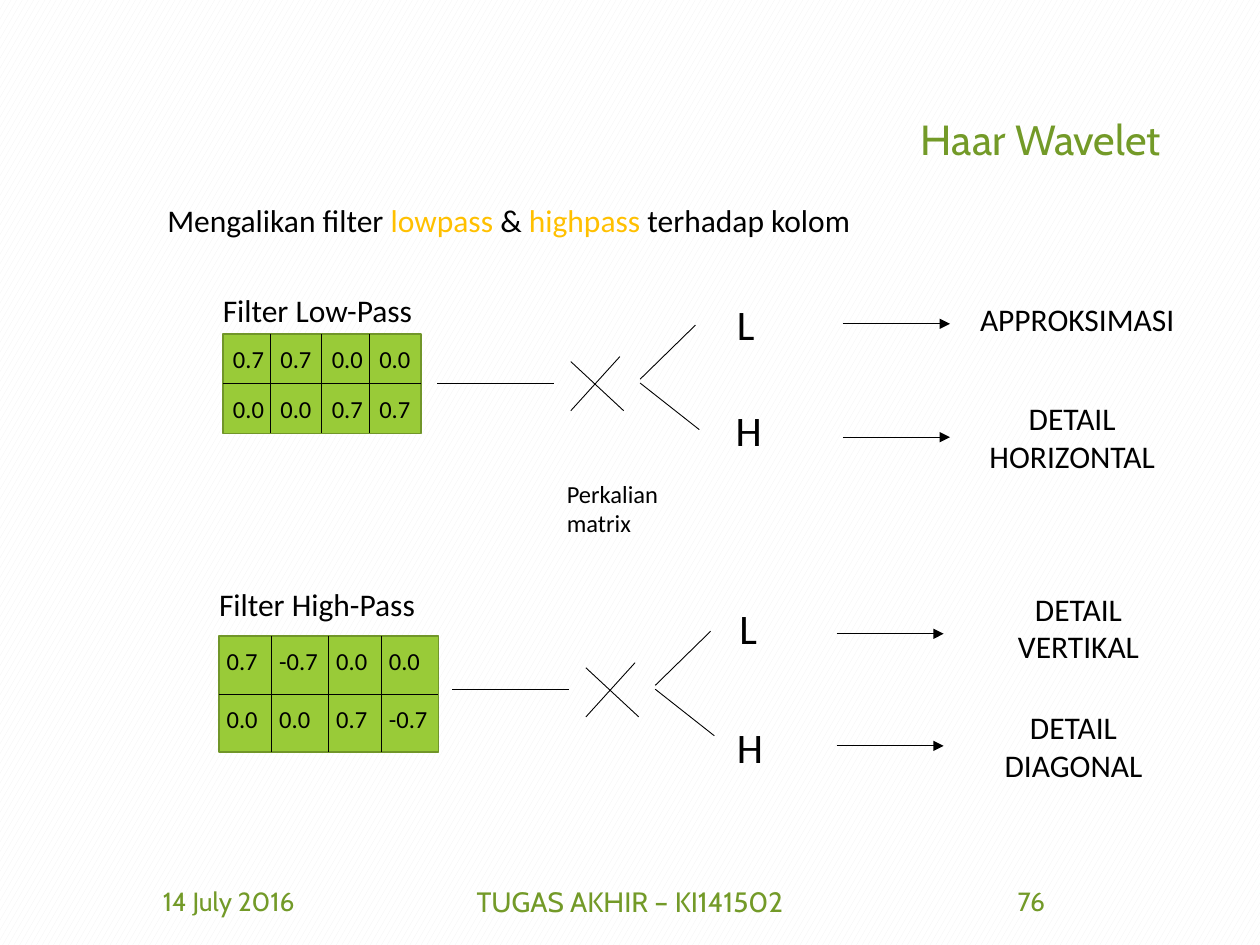
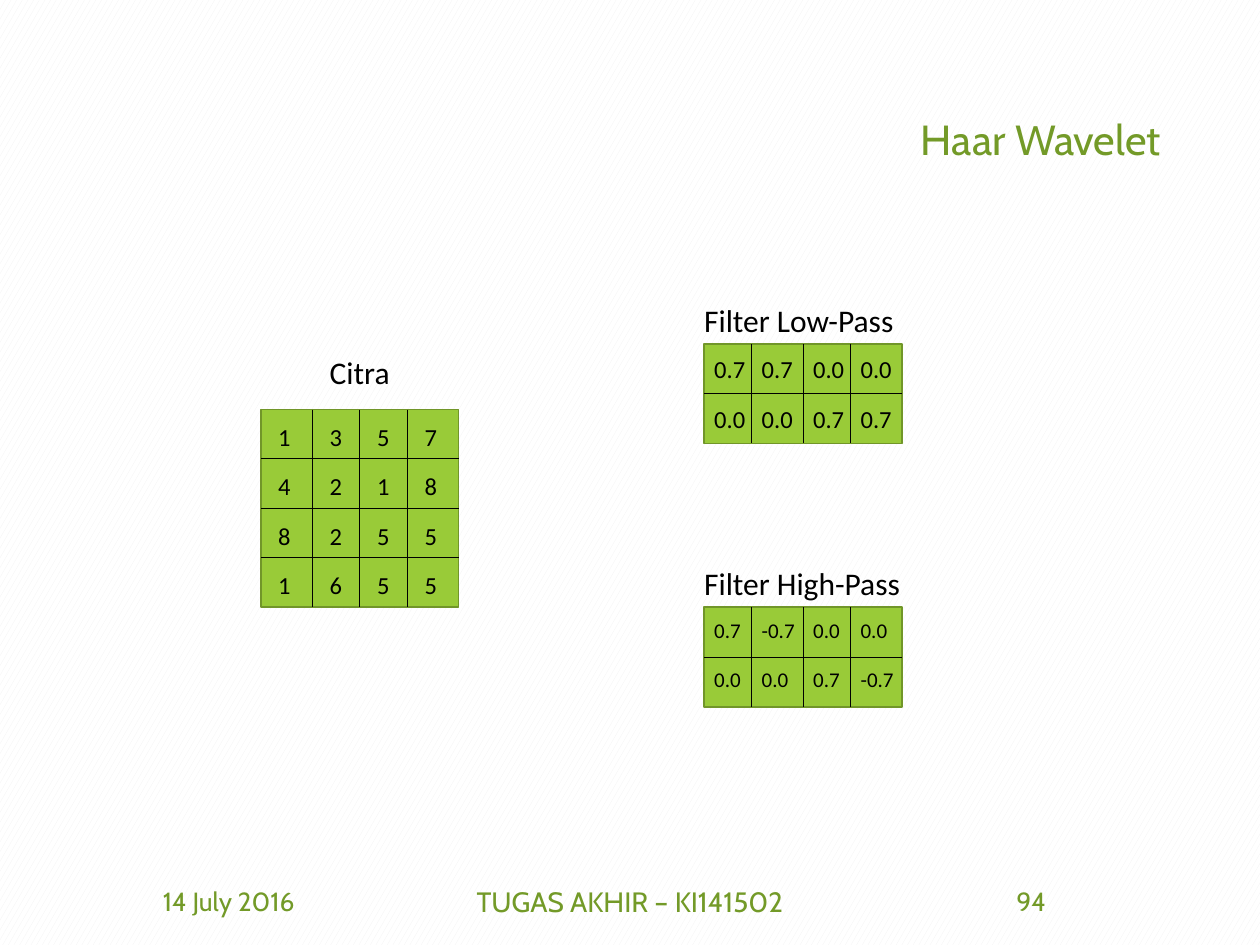
"""Build two slides on Haar wavelet filters."""
from lxml import etree
from pptx import Presentation
from pptx.dml.color import RGBColor
from pptx.enum.dml import MSO_PATTERN
from pptx.enum.shapes import MSO_CONNECTOR, MSO_SHAPE
from pptx.enum.text import MSO_ANCHOR, PP_ALIGN
from pptx.oxml.ns import qn
from pptx.util import Inches, Pt

LEFT, MID, RIGHT = PP_ALIGN.LEFT, PP_ALIGN.CENTER, PP_ALIGN.RIGHT
TOP, CORE = MSO_ANCHOR.TOP, MSO_ANCHOR.MIDDLE
RECT, LINE = MSO_SHAPE.RECTANGLE, MSO_CONNECTOR.STRAIGHT
HATCH = MSO_PATTERN.LARGE_CONFETTI

BLACK = RGBColor(0x00, 0x00, 0x00)
WHITE = RGBColor(0xFF, 0xFF, 0xFF)
PALE = RGBColor(0xF2, 0xF2, 0xF2)
GREEN = RGBColor(0x73, 0x9A, 0x28)
LIME = RGBColor(0x99, 0xCB, 0x38)
EDGE = RGBColor(0x71, 0x96, 0x29)
GOLD = RGBColor(0xFF, 0xC0, 0x00)

WIDE, HIGH = 10, 7.5
HEAD = "Haar Wavelet"
DATE = "14 July 2016"
COURSE = "TUGAS AKHIR – KI141502"
INTRO = [("Mengalikan filter ", BLACK), ("lowpass", GOLD), (" & ", BLACK),
         ("highpass", GOLD), (" terhadap kolom", BLACK)]

LOW = [("0.7", "0.7", "0.0", "0.0"), ("0.0", "0.0", "0.7", "0.7")]
HI = [("0.7", "-0.7", "0.0", "0.0"), ("0.0", "0.0", "0.7", "-0.7")]
IMAGE = [("1", "3", "5", "7"), ("4", "2", "1", "8"),
         ("8", "2", "5", "5"), ("1", "6", "5", "5")]
LOW_CAP, HI_CAP = "Filter Low-Pass", "Filter High-Pass"
CUTS = (0, 0.24, 0.5, 0.74)

FLOWS = [(4.53, 2.83), (4.65, 5.26)]
STROKES = [(-1.06, 0.21, -0.13, 0.21), (0, 0.04, 0.42, 0.43),
           (0, 0.43, 0.39, 0), (0.55, 0.18, 0.99, -0.25),
           (0.55, 0.21, 1.02, 0.58)]
BANDS = [("L", 5.75, 2.32), ("H", 5.74, 3.16),
         ("L", 5.77, 4.73), ("H", 5.75, 5.68)]
ARROWS = [(6.69, 2.57), (6.69, 3.47), (6.64, 5.03), (6.64, 5.92)]
RESULTS = [("APPROKSIMASI", 7.68, 2.33, LEFT),
           ("DETAIL HORIZONTAL", 7.63, 3.12, MID),
           ("DETAIL VERTIKAL", 7.68, 4.63, MID),
           ("DETAIL DIAGONAL", 7.64, 5.57, MID)]


def write(slide, text, box, size=18, font="Calibri", color=BLACK,
          align=LEFT, anchor=TOP, lead=None):
    """Add a text box; text is a string or a list of (text, colour) runs."""
    frame = slide.shapes.add_textbox(*map(Inches, box)).text_frame
    frame.word_wrap = True
    frame.vertical_anchor = anchor
    para = frame.paragraphs[0]
    para.alignment = align
    if lead:
        para.line_spacing = lead
    for part, tint in [(text, color)] if isinstance(text, str) else text:
        run = para.add_run()
        run.text = part
        run.font.size = Pt(size)
        run.font.name = font
        run.font.color.rgb = tint


def rule(slide, x1, y1, x2, y2, arrow=False):
    """Draw a thin black line, with an arrowhead if asked."""
    line = slide.shapes.add_connector(LINE, *map(Inches, (x1, y1, x2, y2)))
    line.line.color.rgb = BLACK
    line.line.width = Pt(0.5)
    if arrow:
        etree.SubElement(line.line._get_or_add_ln(), qn("a:tailEnd"),
                         type="triangle")
    etree.SubElement(line._element.spPr, qn("a:effectLst"))


def matrix(slide, rows, cap, left, top, wide=1.57, tall=0.79, size=14,
           cuts=CUTS, shift=(-0.02, 0.03), rise=0.39, align=LEFT):
    """Draw a captioned grid of values."""
    rect = slide.shapes.add_shape(RECT, *map(Inches, (left, top, wide, tall)))
    rect.shadow.inherit = False
    rect.fill.solid()
    rect.fill.fore_color.rgb = LIME
    rect.line.color.rgb = EDGE
    rect.line.width = Pt(1)
    xs = [left + wide * cut for cut in cuts]
    ys = [top + tall * i / len(rows) for i in range(len(rows))]
    for y in ys[1:]:
        rule(slide, left, y, left + wide, y)
    for x in xs[1:]:
        rule(slide, x, top, x, top + tall)
    for y, row in zip(ys, rows):
        for x, value in zip(xs, row):
            box = (x + shift[0], y + shift[1], 0.52, 0.34)
            write(slide, value, box, size=size)
    write(slide, cap, (left - 0.1, top - rise, wide + 0.2, 0.4), align=align)


def start(deck, number):
    """Add a slide with the shared ground, title and footer."""
    slide = deck.slides.add_slide(deck.slide_layouts[6])
    fill = slide.background.fill
    fill.patterned()
    fill.pattern = HATCH
    fill.fore_color.rgb = PALE
    fill.back_color.rgb = WHITE
    look = dict(font="Cabin", color=GREEN, anchor=CORE)
    write(slide, HEAD, (0.69, 0.4, 8.62, 1.45), size=24, align=RIGHT,
          lead=0.9, **look)
    for text, left, wide, size in [(DATE, 0.69, 2.25, 15),
                                   (COURSE, 3.31, 3.38, 16),
                                   (number, 7.06, 2.25, 15)]:
        write(slide, text, (left, 6.95, wide, 0.4), size=size, align=MID,
              **look)
    return slide


def steps(deck):
    """Show the filters applied to the columns."""
    slide = start(deck, "76")
    write(slide, INTRO, (1.23, 1.55, 5.84, 0.4))
    matrix(slide, LOW, LOW_CAP, 1.77, 2.65)
    matrix(slide, HI, HI_CAP, 1.74, 5.05, wide=1.74, tall=0.92,
           shift=(-0.04, 0.03), rise=0.46)
    write(slide, "Perkalian matrix", (4.4, 3.75, 1.46, 0.57), size=14)
    for x, y in FLOWS:
        for x1, y1, x2, y2 in STROKES:
            rule(slide, x + x1, y + y1, x + x2, y + y2)
    for text, x, y in BANDS:
        write(slide, text, (x, y, 0.49, 0.5), size=24)
    for x, y in ARROWS:
        rule(slide, x, y, x + 0.85, y, arrow=True)
    for text, x, y, align in RESULTS:
        write(slide, text, (x, y, 1.76, 0.71), align=align)


def data(deck):
    """Show the image beside the two filters."""
    slide = start(deck, "94")
    matrix(slide, LOW, LOW_CAP, 5.59, 2.73)
    matrix(slide, HI, HI_CAP, 5.59, 4.82, size=12)
    matrix(slide, IMAGE, "Citra", 2.07, 3.25, tall=1.57,
           cuts=(0, 0.26, 0.5, 0.74), shift=(0.04, 0.05), rise=0.5, align=MID)


def main():
    """Build and save the deck."""
    deck = Presentation()
    deck.slide_width, deck.slide_height = Inches(WIDE), Inches(HIGH)
    steps(deck)
    data(deck)
    deck.save("out.pptx")


if __name__ == "__main__":
    main()
